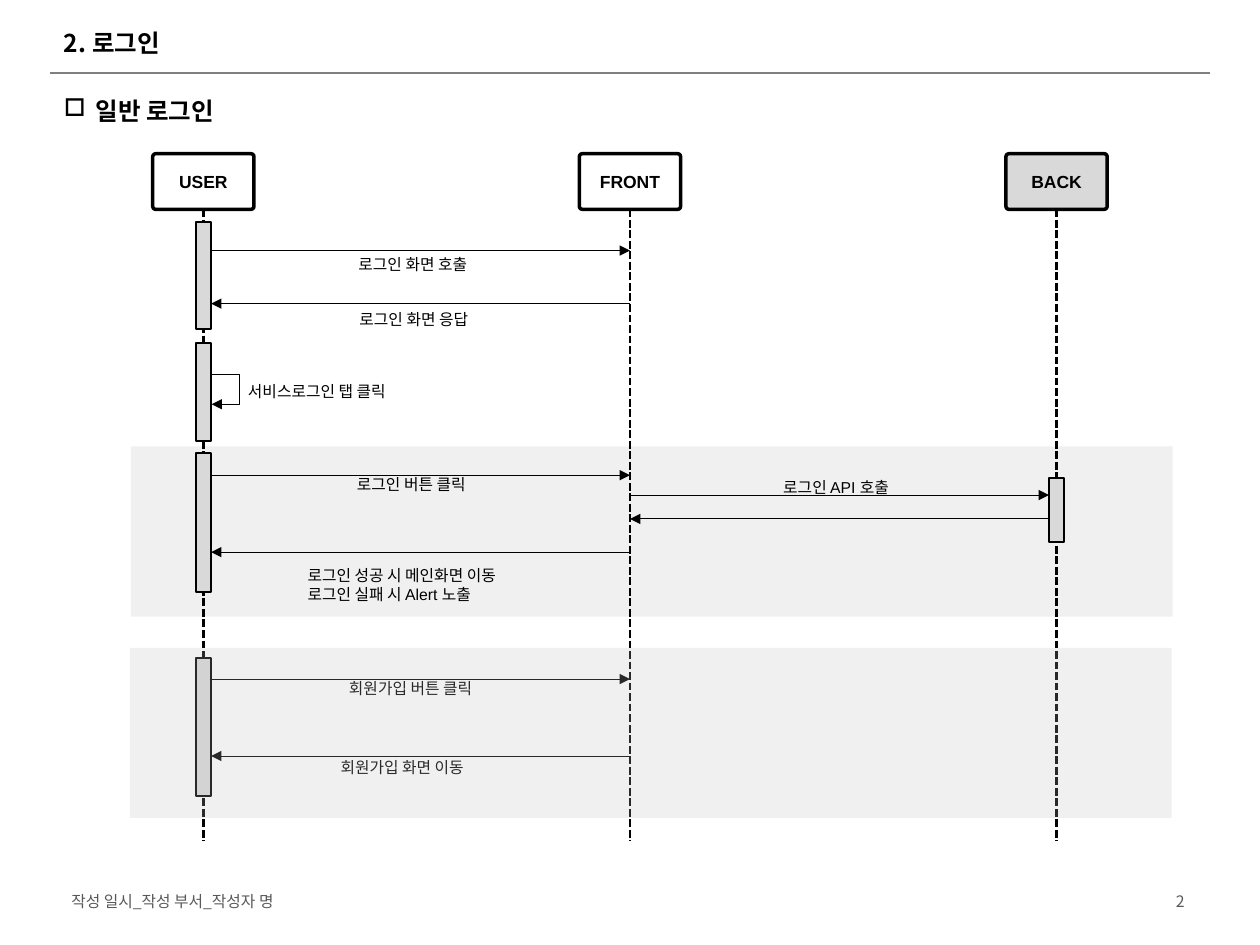
"""Build the login sequence diagram slide."""
from lxml.etree import SubElement
from pptx import Presentation
from pptx.dml.color import RGBColor
from pptx.enum.dml import MSO_LINE
from pptx.enum.shapes import MSO_CONNECTOR, MSO_SHAPE
from pptx.enum.text import MSO_ANCHOR, PP_ALIGN
from pptx.oxml.ns import qn
from pptx.util import Cm, Pt

BLACK = RGBColor(0, 0, 0)
WHITE = RGBColor(255, 255, 255)
LIGHT = RGBColor(0xD9, 0xD9, 0xD9)
SHADE = RGBColor(0xBF, 0xBF, 0xBF)
RULE = RGBColor(0x80, 0x80, 0x80)
MUTED = RGBColor(0x59, 0x59, 0x59)
HANGUL = "Noto Sans CJK KR"
LATIN = "Arial"

USER, FRONT, BACK = 4.1, 12.7, 21.3
BAR = 0.31


class Diagram:
    """Hold the style and the current slide."""

    def __init__(self, deck):
        self.slide = deck.slides.add_slide(deck.slide_layouts[6])
        self.shapes = self.slide.shapes

    def style(self, para, size, face, color=BLACK, bold=False):
        font = para.font
        font.size, font.name, font.bold = Pt(size), face, bold
        font.color.rgb = color
        SubElement(para._p.pPr.find(qn("a:defRPr")), qn("a:ea"), typeface=HANGUL)

    def text(self, words, left, top, width, height, size, color=BLACK,
             bold=False, align=PP_ALIGN.LEFT, anchor=MSO_ANCHOR.MIDDLE, bullet=None):
        box = self.shapes.add_textbox(Cm(left), Cm(top), Cm(width), Cm(height))
        frame = box.text_frame
        frame.word_wrap = True
        frame.vertical_anchor = anchor
        para = frame.paragraphs[0]
        para.text, para.alignment = words, align
        if bullet:
            para.line_spacing = 1.5
            props = para._p.get_or_add_pPr()
            props.set("marL", str(Cm(0.64)))
            props.set("indent", str(-Cm(0.64)))
            SubElement(props, qn("a:buChar"), char=bullet)
        self.style(para, size, HANGUL, color, bold)

    def label(self, lines, left, top, width, align=PP_ALIGN.CENTER):
        box = self.shapes.add_textbox(
            Cm(left), Cm(top), Cm(width), Cm(0.38 * len(lines)))
        frame = box.text_frame
        frame.word_wrap = False
        frame.margin_left = frame.margin_right = 0
        frame.margin_top = frame.margin_bottom = 0
        for i, words in enumerate(lines):
            para = frame.add_paragraph() if i else frame.paragraphs[0]
            para.text, para.alignment = words, align
            self.style(para, 9, LATIN)

    def rect(self, left, top, width, height, fill, weight=0, kind=MSO_SHAPE.RECTANGLE):
        shape = self.shapes.add_shape(
            kind, Cm(left), Cm(top), Cm(width), Cm(height))
        shape.shadow.inherit = False
        shape.fill.solid()
        shape.fill.fore_color.rgb = fill
        if weight:
            shape.line.color.rgb = BLACK
            shape.line.width = Pt(weight)
        else:
            shape.line.fill.background()
        return shape

    def panel(self, left, top):
        shape = self.rect(left, top, 21, 3.43, SHADE)
        color = shape._element.spPr.find(".//" + qn("a:srgbClr"))
        SubElement(color, qn("a:alpha"), val="22000")

    def bar(self, axis, top, height):
        self.rect(axis - BAR / 2, top, BAR, height, LIGHT, 1)

    def line(self, x1, y1, x2, y2, weight=0.5, color=BLACK, arrow=False,
             dash=None, kind=MSO_CONNECTOR.STRAIGHT):
        link = self.shapes.add_connector(kind, Cm(x1), Cm(y1), Cm(x2), Cm(y2))
        link.line.color.rgb = color
        link.line.width = Pt(weight)
        if dash:
            link.line.dash_style = dash
        props = link._element.spPr
        if arrow:
            SubElement(props.find(qn("a:ln")), qn("a:tailEnd"), type="triangle")
        SubElement(props, qn("a:effectLst"))
        return link

    def actor(self, name, axis, fill):
        box = self.rect(axis - 1.02, 3.1, 2.04, 1.12, fill, 2,
                        MSO_SHAPE.ROUNDED_RECTANGLE)
        box.adjustments[0] = 0.05
        frame = box.text_frame
        frame.margin_left = frame.margin_right = 0
        frame.margin_top = frame.margin_bottom = 0
        frame.vertical_anchor = MSO_ANCHOR.MIDDLE
        para = frame.paragraphs[0]
        para.text, para.alignment = name, PP_ALIGN.CENTER
        self.style(para, 10, LATIN, bold=True)
        life = self.line(axis, 4.22, axis, 16.95, 1.5, dash=MSO_LINE.SQUARE_DOT)
        life.begin_connect(box, 2)

    def loop(self, left, top, bottom, reach):
        step = 0.01
        link = self.line(left, top, left + step, bottom, arrow=True,
                         kind=MSO_CONNECTOR.ELBOW)
        guides = link._element.spPr.find(".//" + qn("a:avLst"))
        SubElement(guides, qn("a:gd"), name="adj1",
                   fmla=f"val {round(reach / step * 100000)}")


def main():
    deck = Presentation()
    deck.slide_width, deck.slide_height = Cm(25.4), Cm(19.05)
    page = Diagram(deck)

    page.line(1, 1.47, 24.4, 1.47, 1, RULE)
    page.text("작성 일시_작성 부서_작성자 명", 1.19, 17.83, 7.11, 0.66, 9, MUTED)
    page.text("2", 18.21, 17.65, 5.92, 1.02, 9, MUTED, align=PP_ALIGN.RIGHT)
    page.text("2. 로그인", 1.04, 0.41, 23.14, 0.91, 14, bold=True)
    page.text("일반 로그인", 1.04, 1.52, 23.39, 1.4, 14, bold=True,
              anchor=MSO_ANCHOR.TOP, bullet="□")

    page.panel(2.64, 9)
    for name, axis, fill in (("USER", USER, WHITE), ("FRONT", FRONT, WHITE),
                             ("BACK", BACK, LIGHT)):
        page.actor(name, axis, fill)

    for axis, top, height in ((USER, 4.47, 2.16), (USER, 6.91, 1.98),
                              (USER, 9.14, 2.79), (USER, 13.26, 2.79),
                              (BACK, 9.63, 1.3)):
        page.bar(axis, top, height)

    near, far = USER + BAR / 2, BACK - BAR / 2
    for start, end, y in ((near, FRONT, 5.05), (FRONT, near, 6.12),
                          (near, FRONT, 9.58), (FRONT, near, 11.13),
                          (FRONT, far, 9.98), (far, FRONT, 10.46),
                          (near, FRONT, 13.69), (FRONT, near, 15.24)):
        page.line(start, y, end, y, arrow=True)
    page.loop(near, 7.54, 8.15, 0.58)

    for words, left, top, width in (
            ("로그인 화면 호출", 7.09, 5.13, 2.46),
            ("로그인 화면 응답", 7.11, 6.25, 2.46),
            ("로그인 버튼 클릭", 7.06, 9.58, 2.46),
            ("로그인 API 호출", 15.7, 9.63, 2.31),
            ("회원가입 버튼 클릭", 6.88, 13.69, 2.79),
            ("회원가입 화면 이동", 6.86, 15.27, 2.49)):
        page.label([words], left, top, width)
    page.label(["서비스로그인 탭 클릭"], 5, 7.7, 2.8, PP_ALIGN.LEFT)
    page.label(["로그인 성공 시 메인화면 이동", "로그인 실패 시 Alert 노출"],
               6.2, 11.4, 3.9, PP_ALIGN.LEFT)

    page.panel(2.62, 13.06)
    deck.save("out.pptx")


if __name__ == "__main__":
    main()
